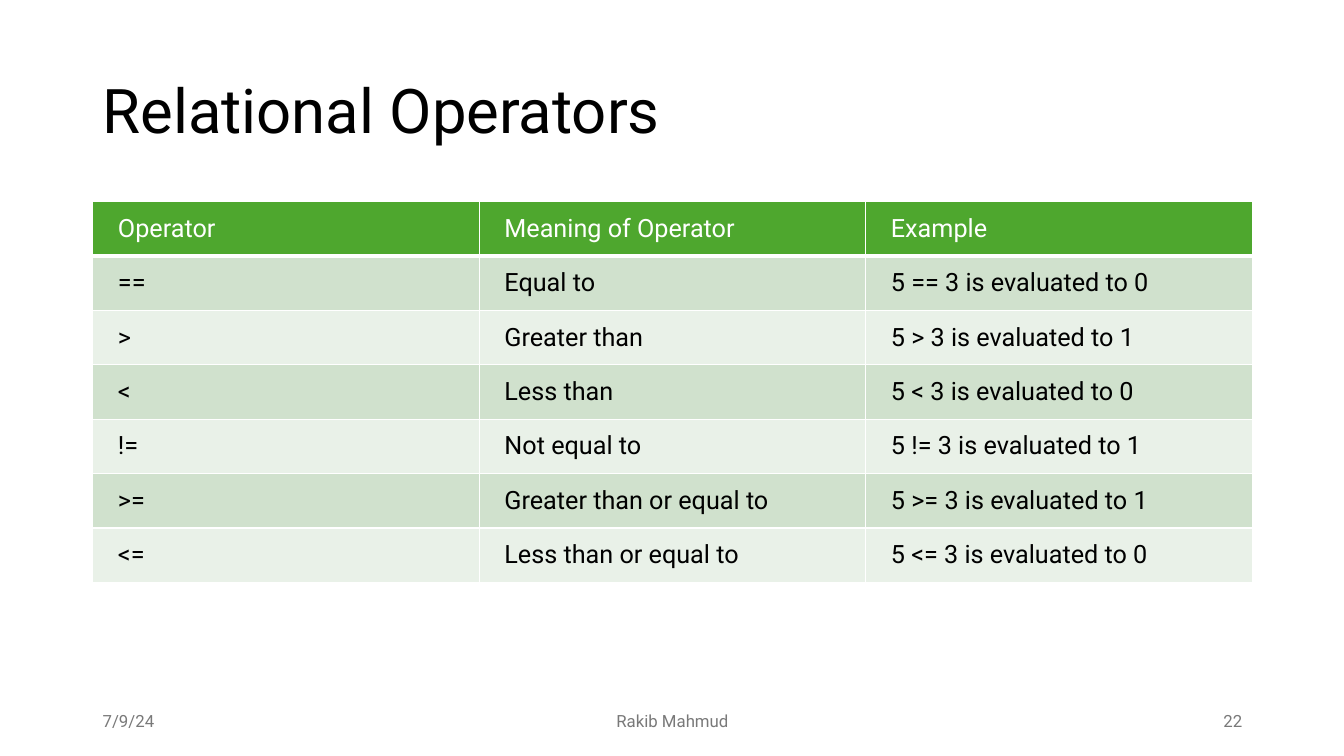
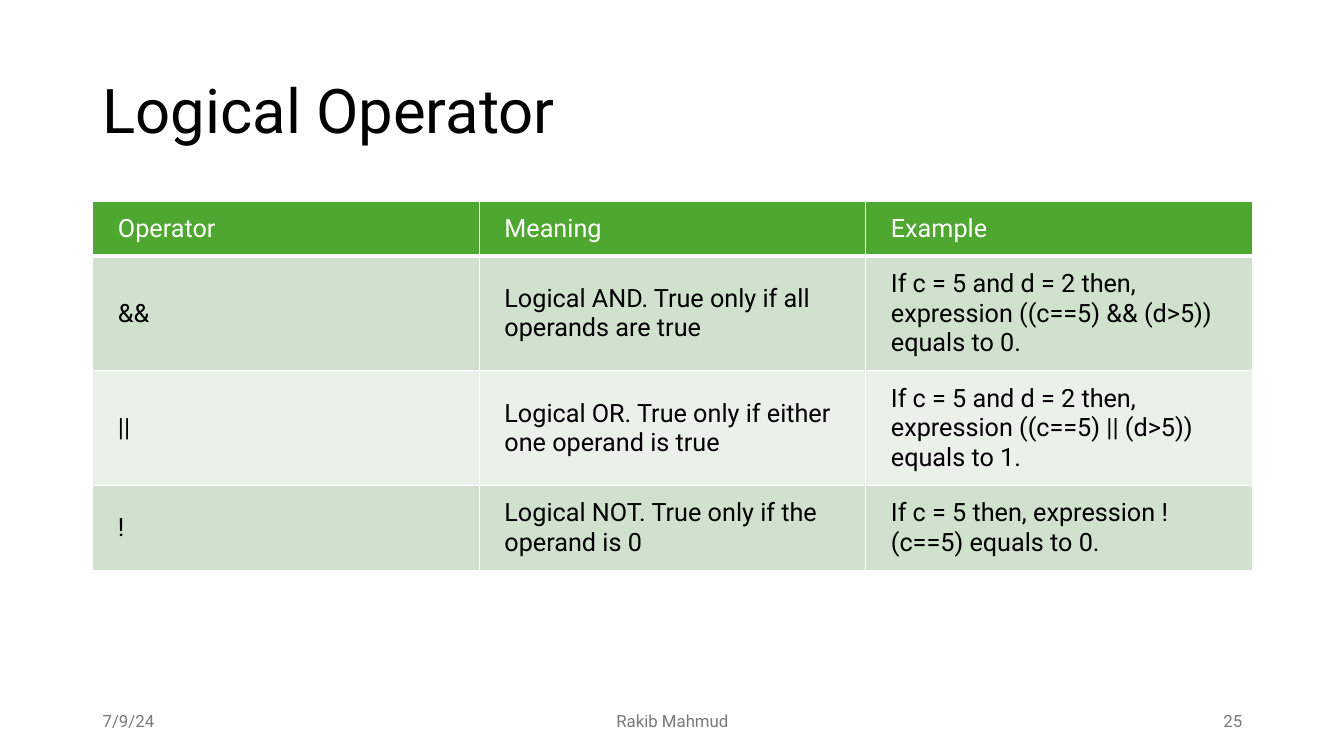
from lxml.etree import SubElement
from pptx import Presentation
from pptx.dml.color import RGBColor
from pptx.enum.text import MSO_ANCHOR, PP_ALIGN
from pptx.oxml.ns import qn
from pptx.util import Inches, Pt

COLORS = {
    "text": "000000",
    "footer": "797979",
    "header": "4EA72E",
    "band_dark": "D0E1CD",
    "band_light": "E9F1E8",
    "white": "FFFFFF",
}
FONT = "Roboto"
LEFT, WIDTH = 0.92, 11.5

# Slide content: title, page number, row heights and table rows
SLIDES = [
    ("Relational Operators", "22", [0.54] * 7, [
        ("Operator", "Meaning of Operator", "Example"),
        ("==", "Equal to", "5 == 3 is evaluated to 0"),
        (">", "Greater than", "5 > 3 is evaluated to 1"),
        ("<", "Less than", "5 < 3 is evaluated to 0"),
        ("!=", "Not equal to", "5 != 3 is evaluated to 1"),
        (">=", "Greater than or equal to", "5 >= 3 is evaluated to 1"),
        ("<=", "Less than or equal to", "5 <= 3 is evaluated to 0"),
    ]),
    ("Logical Operator", "25", [0.54, 1.13, 1.13, 0.84], [
        ("Operator", "Meaning", "Example"),
        ("&&", "Logical AND. True only if all operands are true",
         "If c = 5 and d = 2 then, expression ((c==5) && (d>5)) equals to 0."),
        ("||", "Logical OR. True only if either one operand is true",
         "If c = 5 and d = 2 then, expression ((c==5) || (d>5)) equals to 1."),
        ("!", "Logical NOT. True only if the operand is 0",
         "If c = 5 then, expression !(c==5) equals to 0."),
    ]),
]


def write_text(frame, text, size, color, align=PP_ALIGN.LEFT, line_spacing=None):
    frame.word_wrap = True
    paragraph = frame.paragraphs[0]
    paragraph.alignment = align
    paragraph.line_spacing = line_spacing
    run = paragraph.add_run()
    run.text = text
    run.font.name = FONT
    run.font.size = Pt(size)
    run.font.bold = False
    run.font.color.rgb = RGBColor.from_string(COLORS[color])


def set_borders(cell, widths):
    properties = cell._tc.get_or_add_tcPr()
    for side, width in widths.items():
        line = SubElement(properties, qn(f"a:ln{side}"), w=str(Pt(width)))
        fill = SubElement(line, qn("a:solidFill"))
        SubElement(fill, qn("a:srgbClr"), val=COLORS["white"])


presentation = Presentation()
presentation.slide_width = Inches(13.33)
presentation.slide_height = Inches(7.5)

for title, page, heights, rows in SLIDES:
    slide = presentation.slides.add_slide(presentation.slide_layouts[6])

    # Title and footer
    text_boxes = [
        (LEFT, 0.4, WIDTH, 1.45, title, 44, "text", PP_ALIGN.LEFT, 0.9),
        (LEFT, 6.95, 3, 0.4, "7/9/24", 12, "footer", PP_ALIGN.LEFT, None),
        (4.42, 6.95, 4.5, 0.4, "Rakib Mahmud", 12, "footer", PP_ALIGN.CENTER, None),
        (9.42, 6.95, 3, 0.4, page, 12, "footer", PP_ALIGN.RIGHT, None),
    ]
    for left, top, width, height, text, size, color, align, spacing in text_boxes:
        box = slide.shapes.add_textbox(Inches(left), Inches(top), Inches(width), Inches(height))
        box.text_frame.vertical_anchor = MSO_ANCHOR.MIDDLE
        write_text(box.text_frame, text, size, color, align=align, line_spacing=spacing)

    # Operator table
    table = slide.shapes.add_table(
        len(rows), len(rows[0]), Inches(LEFT), Inches(2), Inches(WIDTH), Inches(sum(heights))
    ).table
    for row_index, (height, values) in enumerate(zip(heights, rows)):
        table.rows[row_index].height = Inches(height)
        is_header = row_index == 0
        band = "header" if is_header else "band_dark" if row_index % 2 else "band_light"
        for column_index, value in enumerate(values):
            cell = table.cell(row_index, column_index)
            cell.margin_left = cell.margin_right = Inches(0.25)
            cell.margin_top = cell.margin_bottom = Inches(0.12)
            cell.vertical_anchor = MSO_ANCHOR.MIDDLE
            # The rule under the header is thicker than the others
            set_borders(cell, {"L": 1, "R": 1, "T": 3 if row_index == 1 else 1,
                               "B": 3 if is_header else 1})
            cell.fill.solid()
            cell.fill.fore_color.rgb = RGBColor.from_string(COLORS[band])
            write_text(cell.text_frame, value, 18, "white" if is_header else "text")

presentation.save("out.pptx")
